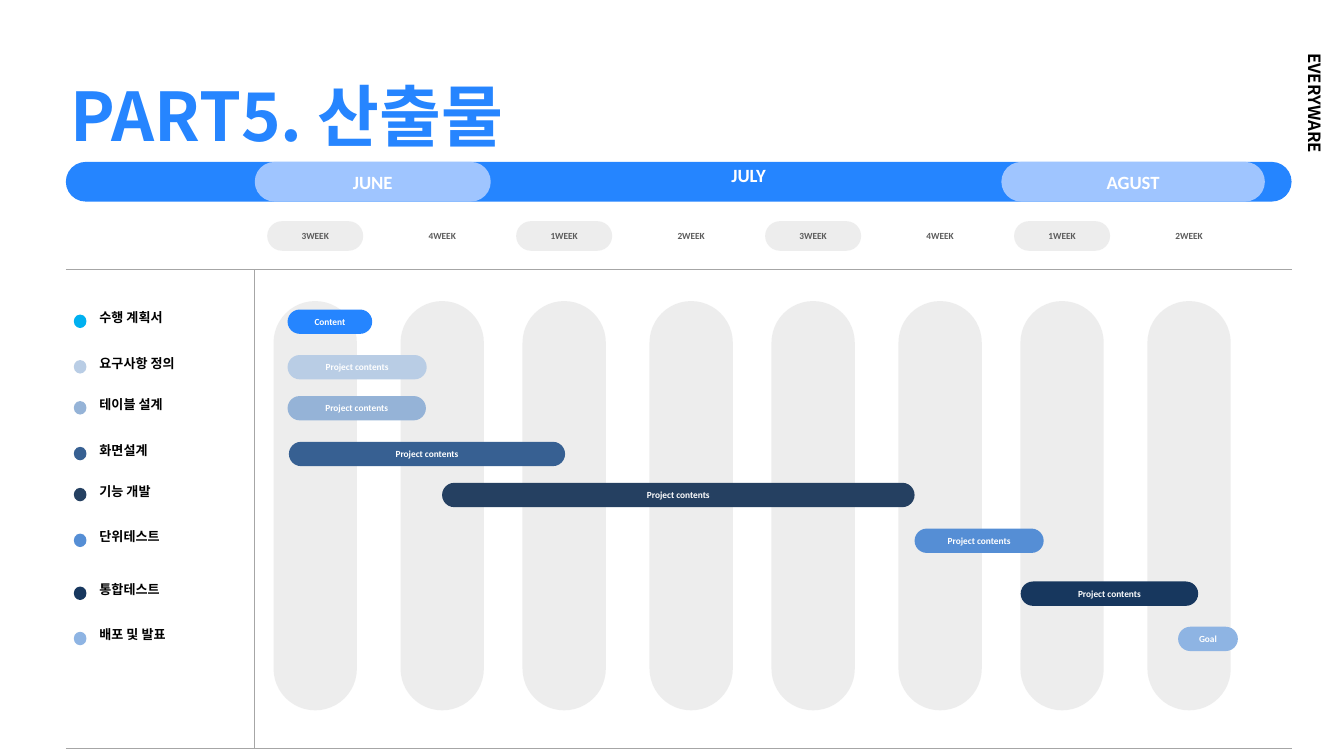
from lxml import etree
from pptx import Presentation
from pptx.dml.color import RGBColor
from pptx.enum.shapes import MSO_CONNECTOR, MSO_SHAPE
from pptx.enum.text import MSO_ANCHOR, MSO_AUTO_SIZE, PP_ALIGN
from pptx.oxml.ns import qn
from pptx.util import Cm, Pt

PILL, DOT = MSO_SHAPE.ROUNDED_RECTANGLE, MSO_SHAPE.OVAL
STRAIGHT = MSO_CONNECTOR.STRAIGHT
LEFT, CENTER = PP_ALIGN.LEFT, PP_ALIGN.CENTER
TOP, MIDDLE = MSO_ANCHOR.TOP, MSO_ANCHOR.MIDDLE
NO_AUTOFIT = MSO_AUTO_SIZE.NONE

LATIN, KOREAN = "Calibri", "Noto Sans CJK KR"
COLORS = {
    "title": "2685FF", "band": "2585FF", "month": "9FC5FF", "rule": "A6A6A6",
    "column": "DCDCDC", "week": "5C5C5C", "white": "FFFFFF", "black": "000000",
    "cyan": "00B0F0", "pale": "B9CDE5", "soft": "95B3D7", "steel": "376092",
    "navy": "254061", "blue": "558ED5", "deep": "17375E", "sky": "8EB4E3",
}


def write(box, text, size, color, align=LEFT, anchor=TOP, font=LATIN):
    """Fill a shape, text box or placeholder with one formatted line."""
    frame = box.text_frame
    settings = {"word_wrap": True, "auto_size": NO_AUTOFIT, "vertical_anchor": anchor}
    for name, value in settings.items():
        setattr(frame, name, value)
    para = frame.paragraphs[0]
    para.alignment = align
    span = para.add_run()
    span.text = text
    for name, value in {"name": font, "size": Pt(size), "bold": True}.items():
        setattr(span.font, name, value)
    span.font.color.rgb = RGBColor.from_string(COLORS[color])
    east_asian = etree.SubElement(span.font._element, qn("a:ea"))
    east_asian.set("typeface", KOREAN)


def draw(kind, left, top, width, height, color=None, opacity=100):
    """Add a borderless shape; pills get fully rounded ends."""
    shape = page.shapes.add_shape(kind, Cm(left), Cm(top), Cm(width), Cm(height))
    shape.shadow.inherit = False
    shape.line.fill.background()
    if kind == PILL:
        shape.adjustments[0] = 0.5
    if color is None:
        shape.fill.background()
    else:
        shape.fill.solid()
        shape.fill.fore_color.rgb = RGBColor.from_string(COLORS[color])
    if opacity < 100:
        rgb = shape._element.spPr.find(".//" + qn("a:srgbClr"))
        etree.SubElement(rgb, qn("a:alpha")).set("val", str(opacity * 1000))
    return shape


deck = Presentation()
deck.slide_width, deck.slide_height = Cm(50.8), Cm(28.575)
page = deck.slides.add_slide(deck.slide_layouts[5])

# Title and vertical project name
title = page.shapes.title
title.left, title.top, title.width, title.height = Cm(2.41), Cm(2.69), Cm(26.47), Cm(3.33)
write(title, "PART5. 산출물", 72, "title", font=KOREAN)

side = page.shapes.add_textbox(Cm(47.55), Cm(3.4), Cm(4.29), Cm(1.02))
side.rotation = 90
write(side, "EVERYWARE", 18, "black", font=KOREAN)

# Month band
draw(PILL, 2.49, 6.12, 46.33, 1.5, "band")
for month, left, width in [("JUNE", 9.63, 8.92), ("AGUST", 37.85, 9.96)]:
    pill = draw(PILL, left, 6.12, width, 1.5, "month")
    write(pill, month, 20, "white", CENTER, MIDDLE)
july = page.shapes.add_textbox(Cm(26.34), Cm(6.05), Cm(3.91), Cm(1.7))
write(july, "JULY", 20, "white", CENTER)

# Frame lines
for x1, y1, x2, y2 in [
    (2.49, 10.19, 48.82, 10.19),
    (9.63, 10.19, 9.63, 28.27),
    (2.49, 28.27, 48.82, 28.27),
]:
    rule = page.shapes.add_connector(STRAIGHT, Cm(x1), Cm(y1), Cm(x2), Cm(y2))
    rule.line.color.rgb = RGBColor.from_string(COLORS["rule"])
    rule.line.width = Pt(0.75)
    etree.SubElement(rule._element.spPr, qn("a:effectLst"))

# Week headings, every other one shaded, above their columns
weeks = ["3WEEK", "4WEEK", "1WEEK", "2WEEK"] * 2
for index, week in enumerate(weeks):
    pair, second = divmod(index, 2)
    left = 10.34 + 9.41 * pair + 4.8 * second
    heading = draw(PILL, left - 0.24, 8.36, 3.63, 1.12, None if second else "column",
                   100 if second else 50)
    write(heading, week, 10, "week", CENTER, MIDDLE)
    draw(PILL, left, 11.38, 3.15, 15.47, "column", 50)

# Tasks: name, dot top, dot colour, bar left, bar width, bar colour, bar text
tasks = [
    ("수행 계획서", 11.89, "cyan", 10.87, 3.2, "band", "Content"),
    ("요구사항 정의", 13.61, "pale", 10.87, 5.26, "pale", "Project contents"),
    ("테이블 설계", 15.16, "soft", 10.87, 5.23, "soft", "Project contents"),
    ("화면설계", 16.89, "steel", 10.92, 10.44, "steel", "Project contents"),
    ("기능 개발", 18.44, "navy", 16.71, 17.86, "navy", "Project contents"),
    ("단위테스트", 20.17, "blue", 34.57, 4.88, "blue", "Project contents"),
    ("통합테스트", 22.17, "deep", 38.58, 6.71, "deep", "Project contents"),
    ("배포 및 발표", 23.88, "sky", 44.53, 2.26, "sky", "Goal"),
]
for task, top, dot_color, left, width, bar_color, caption in tasks:
    draw(DOT, 2.79, top, 0.48, 0.51, dot_color)
    label = page.shapes.add_textbox(Cm(3.51), Cm(top - 0.31), Cm(10.57), Cm(1.3))
    write(label, task, 14, "black")
    bar = draw(PILL, left, top - 0.19, width, 0.92, bar_color)
    write(bar, caption, 10, "white", CENTER, MIDDLE)

deck.save("out.pptx")
